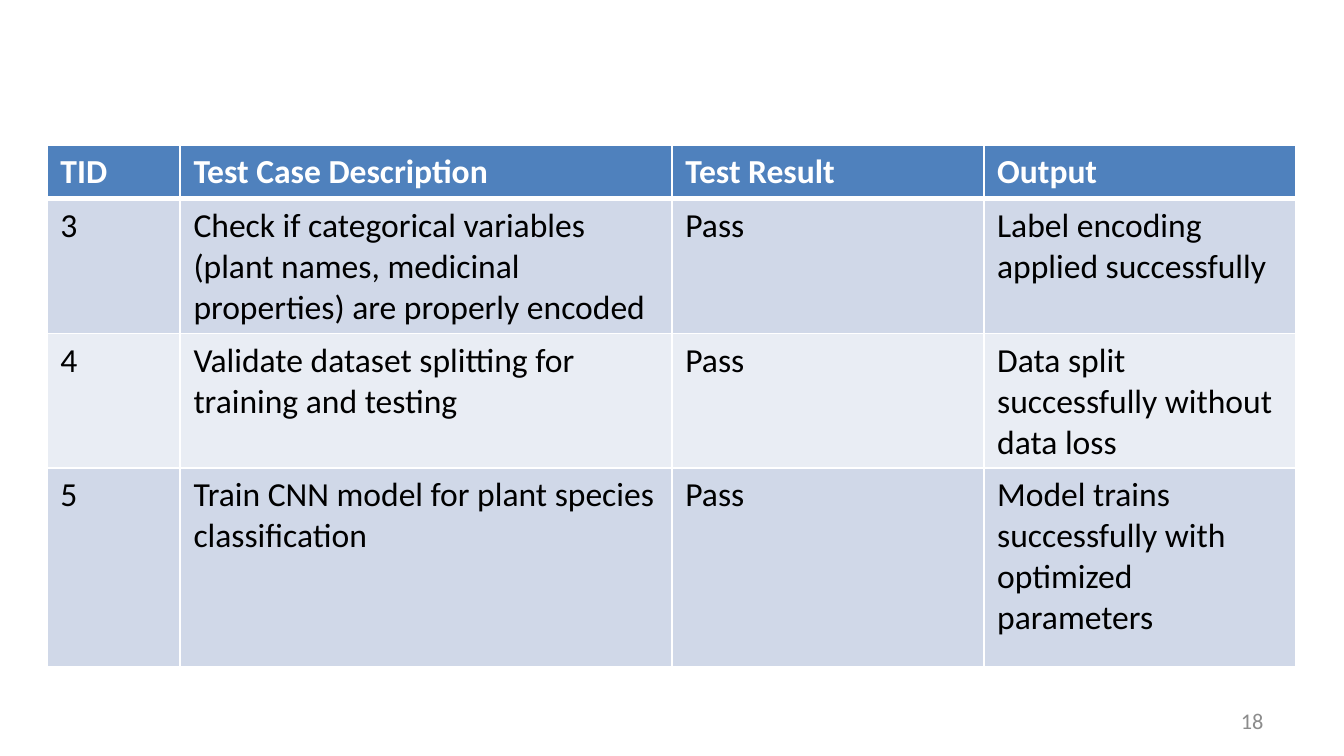
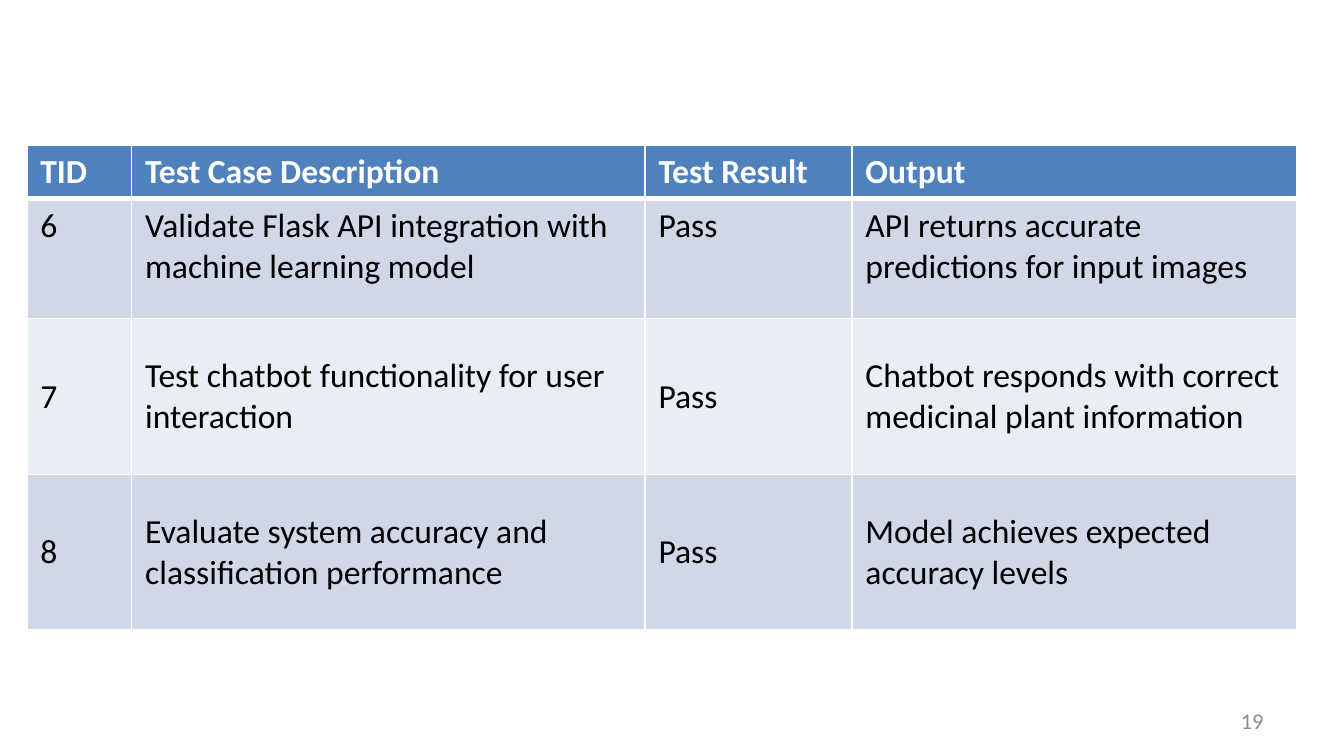
from lxml import etree
from pptx import Presentation
from pptx import util as u
from pptx.dml.color import RGBColor
from pptx.enum import text
from pptx.oxml import ns

COLORS = {
    "header": "4F81BD",
    "band_dark": "D0D8E8",
    "band_light": "E9EDF4",
    "border": "FFFFFF",
    "header_text": "FFFFFF",
    "body_text": "000000",
    "page_number": "8C8C8C",
}
FONT = "Calibri"
HEADINGS = ("TID", "Test Case Description", "Test Result", "Output")
PAGE_NUMBER_BOX = (7.17, 5.21, 2.33, 0.3)
TABLE_TOP = 1.08

TEST_PAGES = [
    {
        "number": 18,
        "left": 0.35,
        "height": 3.88,
        "columns": (0.99, 3.66, 2.32, 2.32),
        "rows": (0.37, 0.93, 0.93, 1.48),
        "middle_from": None,
        "cases": [
            ("3", "Check if categorical variables (plant names, medicinal properties) "
                  "are properly encoded", "Pass", "Label encoding applied successfully"),
            ("4", "Validate dataset splitting for training and testing", "Pass",
             "Data split successfully without data loss"),
            ("5", "Train CNN model for plant species classification", "Pass",
             "Model trains successfully with optimized parameters"),
        ],
    },
    {
        "number": 19,
        "left": 0.2,
        "height": 3.62,
        "columns": (0.78, 3.82, 1.54, 3.31),
        "rows": (0.38, 0.89, 1.16, 1.16),
        "middle_from": 2,
        "cases": [
            ("6", "Validate Flask API integration with machine learning model", "Pass",
             "API returns accurate predictions for input images"),
            ("7", "Test chatbot functionality for user interaction", "Pass",
             "Chatbot responds with correct medicinal plant information"),
            ("8", "Evaluate system accuracy and classification performance", "Pass",
             "Model achieves expected accuracy levels"),
        ],
    },
]


def color(name):
    return RGBColor.from_string(COLORS[name])


def style_font(paragraph, size, color_name, bold=False):
    for run in paragraph.runs:
        run.font.name = FONT
        run.font.size = u.Pt(size)
        run.font.bold = bold
        run.font.color.rgb = color(color_name)


def set_borders(cell, top=1, bottom=1):
    """Draw the four cell borders; widths are in points."""
    properties = cell._tc.get_or_add_tcPr()
    widths = {"lnL": 1, "lnR": 1, "lnT": top, "lnB": bottom}
    for position, (side, width) in enumerate(widths.items()):
        line = etree.Element(ns.qn(f"a:{side}"), w=str(u.Pt(width)))
        fill = etree.SubElement(line, ns.qn("a:solidFill"))
        etree.SubElement(fill, ns.qn("a:srgbClr"), val=COLORS["border"])
        properties.insert(position, line)


def add_page_number(slide, box, number):
    frame = slide.shapes.add_textbox(*map(u.Inches, box)).text_frame
    frame.word_wrap = True
    frame.vertical_anchor = text.MSO_ANCHOR.MIDDLE
    frame.text = str(number)
    frame.paragraphs[0].alignment = text.PP_ALIGN.RIGHT
    style_font(frame.paragraphs[0], 12, "page_number")


def add_test_table(slide, left, top, page):
    columns, rows = page["columns"], page["rows"]
    table_frame = slide.shapes.add_table(
        len(rows), len(columns), u.Inches(left), u.Inches(top),
        u.Inches(sum(columns)), u.Inches(page["height"]))
    table = table_frame.table
    for column, width in zip(table.columns, columns):
        column.width = u.Inches(width)
    for row, height in zip(table.rows, rows):
        row.height = u.Inches(height)
    # The frame is a little taller than its rows, which stretch to fill it
    table_frame.height = u.Inches(page["height"])

    for r, values in enumerate([HEADINGS, *page["cases"]]):
        is_header = r == 0
        band = "header" if is_header else "band_dark" if r % 2 else "band_light"
        is_middle = page["middle_from"] is not None and r >= page["middle_from"]
        for c, value in enumerate(values):
            cell = table.cell(r, c)
            cell.text = value
            cell.fill.solid()
            cell.fill.fore_color.rgb = color(band)
            cell.vertical_anchor = (
                text.MSO_ANCHOR.MIDDLE if is_middle else text.MSO_ANCHOR.TOP)
            style_font(cell.text_frame.paragraphs[0], 18,
                       "header_text" if is_header else "body_text", is_header)
            # The rule under the header is shared with the first body row
            set_borders(cell, top=3 if r == 1 else 1, bottom=3 if is_header else 1)


def add_test_slide(prs, page):
    slide = prs.slides.add_slide(prs.slide_layouts[6])
    add_page_number(slide, PAGE_NUMBER_BOX, page["number"])
    add_test_table(slide, page["left"], TABLE_TOP, page)


def main():
    prs = Presentation()
    # Widescreen, 16:9
    prs.slide_width = u.Inches(10)
    prs.slide_height = prs.slide_width * 9 // 16
    for page in TEST_PAGES:
        add_test_slide(prs, page)
    prs.save("out.pptx")


if __name__ == "__main__":
    main()
